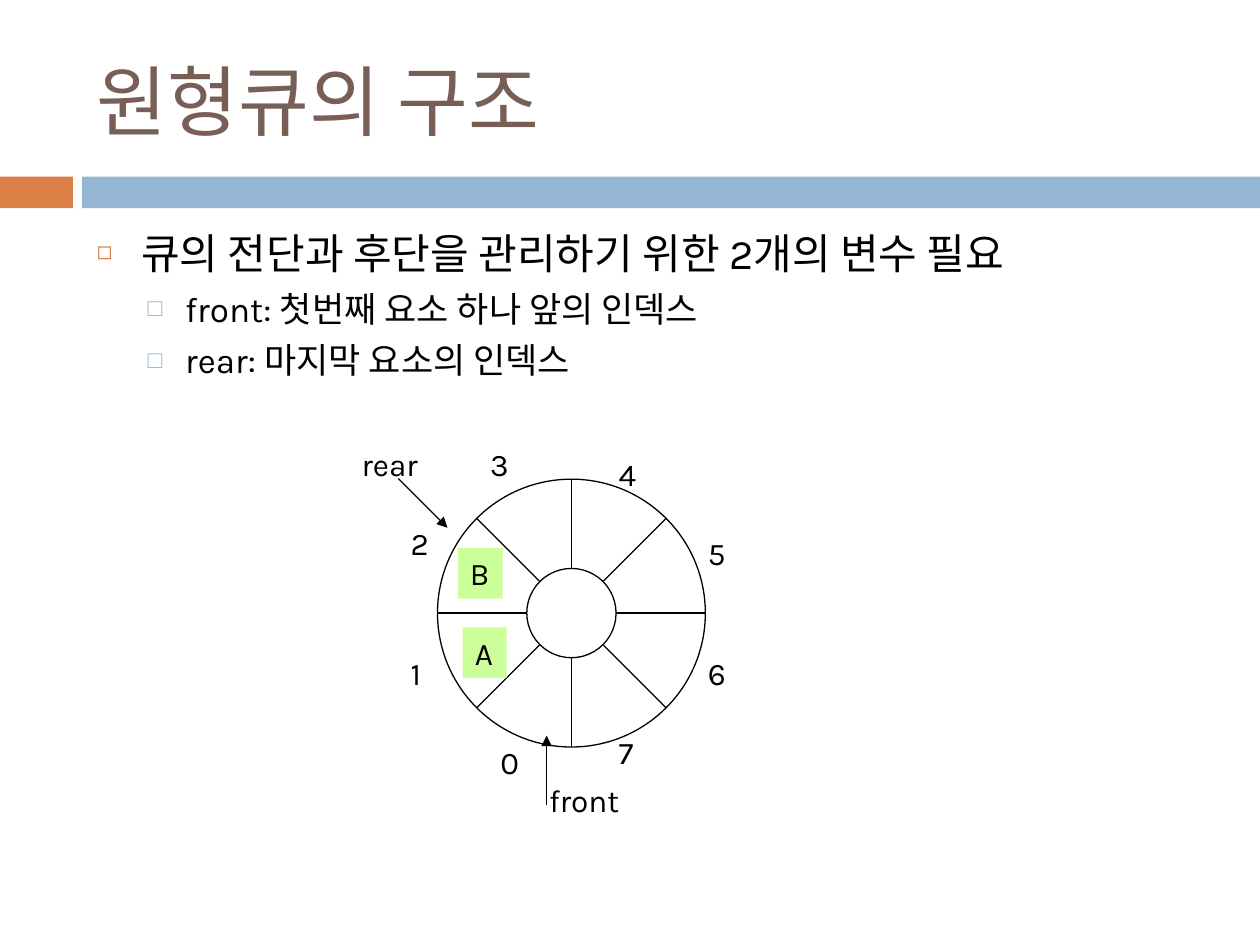
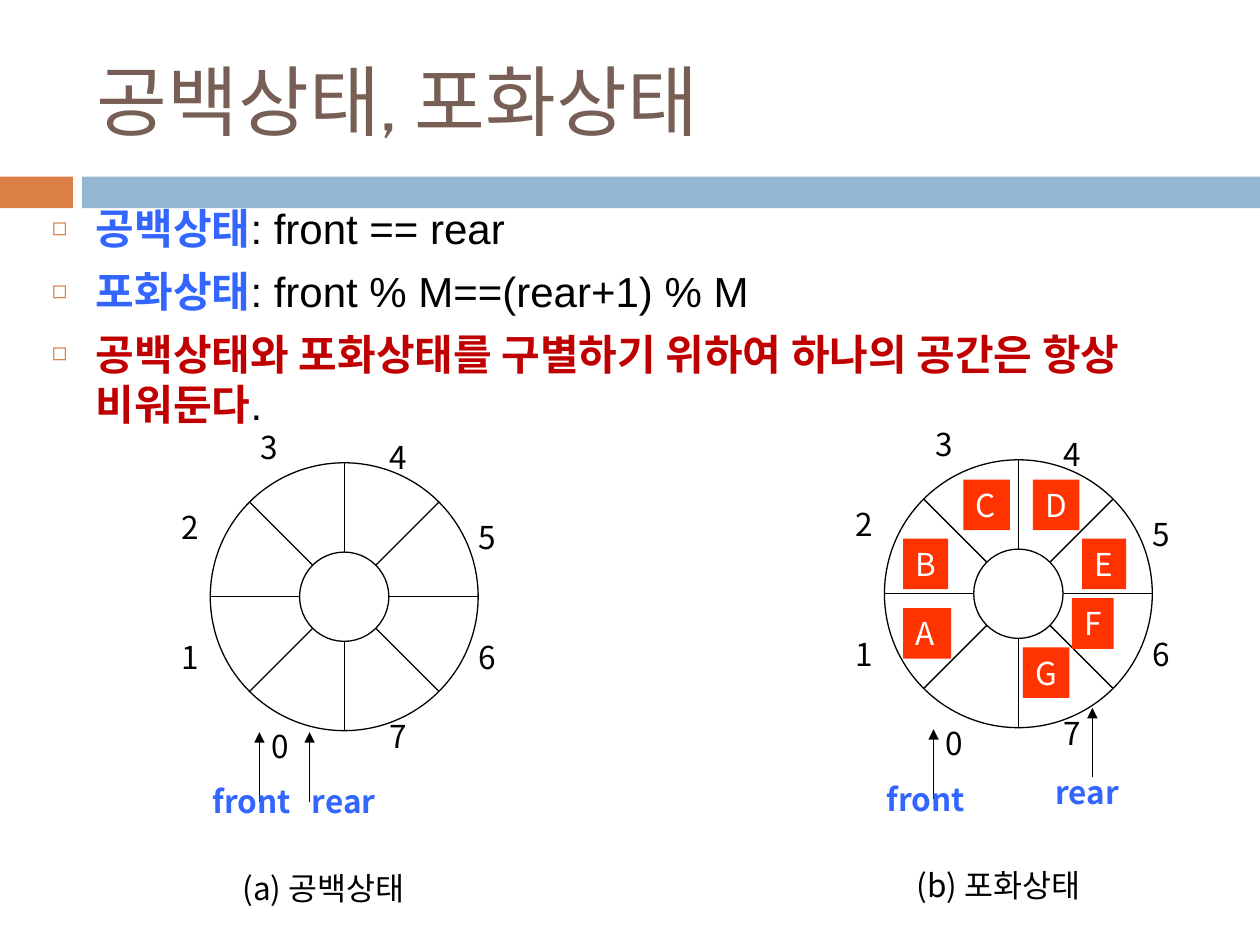
from math import cos, pi, sin

from lxml import etree
from pptx import Presentation
from pptx.dml.color import RGBColor
from pptx.enum.shapes import MSO_CONNECTOR, MSO_SHAPE
from pptx.enum.text import MSO_ANCHOR, MSO_AUTO_SIZE, PP_ALIGN
from pptx.oxml.ns import qn
from pptx.util import Cm, Pt

LINE = MSO_CONNECTOR.STRAIGHT
RECT, OVAL = MSO_SHAPE.RECTANGLE, MSO_SHAPE.OVAL
TOP, MIDDLE = MSO_ANCHOR.TOP, MSO_ANCHOR.MIDDLE
GROW, FIXED = MSO_AUTO_SIZE.SHAPE_TO_FIT_TEXT, MSO_AUTO_SIZE.NONE
LEFT = PP_ALIGN.LEFT

BLACK, WHITE, BROWN = "000000", "FFFFFF", "775F55"
ORANGE, SKY, BLUE, RED = "DD8047", "94B6D2", "3366FF", "C00000"
LIME, FLAME = "CCFF99", "FF3300"
KARLA, NOTO, ARIAL, CABIN = "Karla", "Noto Sans CJK KR", "Arial", "Cabin"

OUTER, INNER, HEIGHT = 2.7, 0.9, 1.02
DIGITS = [(-1.25, 3.01), (-3.06, 1.21), (-3.06, -1.41), (-1.46, -3.01),
          (1.13, -2.81), (2.93, -1.21), (2.93, 1.21), (1.13, 2.81)]
LEVELS = [dict(size=24, left=0.89, hang=0.89, gap=7, mark="◻", color=ORANGE, scale=60),
          dict(size=20, left=1.78, hang=0.76, gap=5.5, mark="□", color=SKY, scale=70)]


def rgb(code):
    return RGBColor.from_string(code)


def add(node, tag, **attrs):
    return etree.SubElement(node, qn(tag), attrs)


def style(font, name, size, color, bold=False):
    font.name, font.size, font.bold = name, Pt(size), bold
    font.color.rgb = rgb(color)


class Deck:
    """Draws the queue slides in one shared style."""

    def __init__(self):
        self.prs = Presentation()
        self.prs.slide_width, self.prs.slide_height = Cm(25.4), Cm(19.05)

    def start(self, title, font):
        self.slide = self.prs.slides.add_slide(self.prs.slide_layouts[1])
        self.shapes, self.font = self.slide.shapes, font
        for left, width, color in [(0, 1.47, ORANGE), (1.65, 23.75, SKY)]:
            band = self.shape(RECT, left, 3.56, width, 0.64, color)
            self.shapes._spTree.insert(2, band._element)
        head = self.place(self.shapes.title, 1.7, 0.64, 22.66, 2.74, MIDDLE)
        head.text = title
        para = head.paragraphs[0]
        para.alignment = LEFT
        style(para.font, CABIN, 44, BROWN)

    def place(self, holder, left, top, width, height, anchor):
        holder.left, holder.top = Cm(left), Cm(top)
        holder.width, holder.height = Cm(width), Cm(height)
        frame = holder.text_frame
        frame.auto_size, frame.vertical_anchor = FIXED, anchor
        return frame

    def bullets(self, box, font, items):
        frame = self.place(self.slide.placeholders[1], *box, TOP)
        for i, (depth, parts) in enumerate(items):
            para = frame.add_paragraph() if i else frame.paragraphs[0]
            look = LEVELS[depth]
            para.level, para.space_before = depth, Pt(look["gap"])
            self.mark(para, look)
            for text, color, bold in parts:
                run = para.add_run()
                run.text = text
                target = run.font if len(parts) > 1 else para.font
                style(target, font, look["size"], color, bold)

    def mark(self, para, look):
        props = para._p.get_or_add_pPr()
        props.set("marL", str(Cm(look["left"])))
        props.set("indent", str(-Cm(look["hang"])))
        add(add(props, "a:buClr"), "a:srgbClr", val=look["color"])
        add(props, "a:buSzPct", val=str(look["scale"] * 1000))
        add(props, "a:buChar", char=look["mark"])

    def shape(self, kind, left, top, width, height, fill=None, line=None, home=None):
        item = (home or self.shapes).add_shape(
            kind, Cm(left), Cm(top), Cm(width), Cm(height))
        item.shadow.inherit = False
        if fill:
            item.fill.solid()
            item.fill.fore_color.rgb = rgb(fill)
        else:
            item.fill.background()
        if line:
            item.line.color.rgb, item.line.width = rgb(line), Pt(0.75)
        else:
            item.line.fill.background()
        return item

    def line(self, start, end, head=False, home=None):
        ends = [Cm(v) for v in (*start, *end)]
        item = (home or self.shapes).add_connector(LINE, *ends)
        item.line.color.rgb, item.line.width = rgb(BLACK), Pt(0.75)
        add(item._element.spPr, "a:effectLst")
        if head:
            add(item.line._get_or_add_ln(), "a:tailEnd", type="triangle")

    def at(self, x, y):
        return self.hub[0] + x, self.hub[1] + y

    def arrow(self, start, end):
        self.line(self.at(*start), self.at(*end), head=True)

    def letter(self, item, text, color, bold=False):
        frame = item.text_frame
        frame.text, frame.word_wrap = text, False
        frame.auto_size, frame.vertical_anchor = GROW, TOP
        para = frame.paragraphs[0]
        para.alignment = LEFT
        style(para.font, self.font, 18, color, bold)

    def label(self, text, x, y, width, color=BLACK, bold=False):
        x, y = self.at(x - width / 2, y - HEIGHT / 2)
        item = self.shapes.add_textbox(Cm(x), Cm(y), Cm(width), Cm(HEIGHT))
        self.letter(item, text, color, bold)

    def tile(self, text, x, y, width, fill, color):
        x, y = self.at(x - width / 2, y - HEIGHT / 2)
        self.letter(self.shape(RECT, x, y, width, HEIGHT, fill), text, color)

    def wheel(self, x, y, wide):
        self.hub = x, y
        home = self.shapes.add_group_shape().shapes
        for r in (OUTER, INNER):
            self.shape(OVAL, x - r, y - r, 2 * r, 2 * r, line=BLACK, home=home)
        for i in range(8):
            dx, dy = cos(i * pi / 4), sin(i * pi / 4)
            self.line(self.at(INNER * dx, INNER * dy),
                      self.at(OUTER * dx, OUTER * dy), home=home)
        for i, spot in enumerate(DIGITS):
            self.label(str(i), *spot, wide)


def layout(deck):
    deck.start("원형큐의 구조", KARLA)
    deck.bullets((1.7, 4.45, 22.66, 12.5), KARLA, [
        (0, [("큐의 전단과 후단을 관리하기 위한 2개의 변수 필요", BLACK, False)]),
        (1, [("front: 첫번째 요소 하나 앞의 인덱스", BLACK, False)]),
        (1, [("rear: 마지막 요소의 인덱스", BLACK, False)])])
    deck.wheel(11.52, 12.36, 0.86)
    deck.arrow((-0.5, 3.87), (-0.5, 2.47))
    deck.label("front", 0.28, 3.77, 1.96)
    deck.label("rear", -3.63, -3.01, 1.7)
    deck.tile("A", -1.75, 0.8, 0.89, LIME, BLACK)
    deck.tile("B", -1.84, -0.8, 0.91, LIME, BLACK)
    deck.arrow((-3.49, -2.71), (-2.5, -1.72))


def states(deck):
    deck.start("공백상태, 포화상태", NOTO)
    deck.bullets((0.79, 3.96, 24.64, 3.63), ARIAL, [
        (0, [("공백상태", BLUE, True), (": front == rear", BLACK, False)]),
        (0, [("포화상태", BLUE, True), (": front % M==(rear+1) % M", BLACK, False)]),
        (0, [("공백상태와 포화상태를 구별하기 위하여 하나의 공간은 항상 비워둔다", RED, True),
             (".", BLACK, False)])])
    for hub, tip, word, note in [
            ((6.94, 12.03), (-0.7, 2.73), (0.09, 4.13), "(a) 공백상태"),
            ((20.53, 11.97), (1.49, 2.3), (1.49, 4), "(b) 포화상태")]:
        deck.wheel(*hub, 0.94)
        for x, y in [(-1.71, 2.73), tip]:
            deck.arrow((x, y + 1.4), (x, y))
        deck.label("front", -1.8, 4.13, 2.21, BLUE, True)
        deck.label("rear", *word, 1.98, BLUE, True)
        deck.label(note, -0.04, 5.88, 4.52)
    for name, x, y, width in [
            ("A", -1.84, 0.8, 0.97), ("B", -1.87, -0.6, 0.91),
            ("C", -0.64, -1.79, 0.94), ("D", 0.76, -1.79, 0.94),
            ("E", 1.73, -0.6, 0.89), ("F", 1.5, 0.6, 0.84),
            ("G", 0.56, 1.59, 0.94)]:
        deck.tile(name, x, y, width, FLAME, WHITE)


def main():
    deck = Deck()
    layout(deck)
    states(deck)
    deck.prs.save("out.pptx")


if __name__ == "__main__":
    main()
